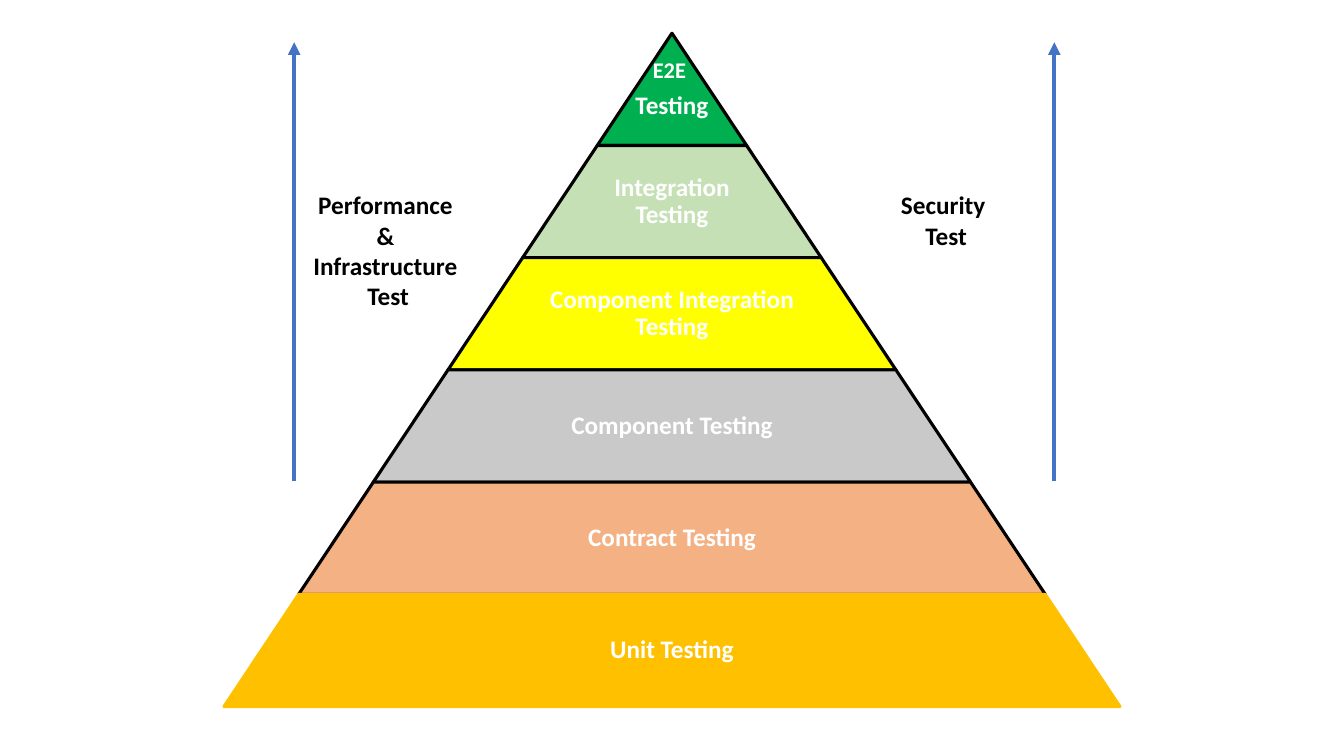
from lxml import etree
from pptx import Presentation, util as u
from pptx.dml.color import RGBColor
from pptx.enum import shapes, text
from pptx.oxml.ns import qn

HUES = {
    "green": "00B050", "mint": "C5E0B4", "yellow": "FFFF00",
    "grey": "C9C9C9", "peach": "F4B183", "gold": "FFC000",
    "blue": "4472C4", "black": "000000", "white": "FFFFFF",
}
WIDE, HIGH = 13.33, 7.5
COLS = 9
TIERS = [
    ("E2E \nTesting", "green"),
    ("Integration Testing", "mint"),
    ("Component Integration Testing", "yellow"),
    ("Component Testing", "grey"),
    ("Contract Testing", "peach"),
    ("Unit Testing", "gold"),
]


def hue(name):
    return RGBColor.from_string(HUES[name])


class Board:
    """Places elements by column and row; row 0 is the pyramid's tip."""
    font, size = "Calibri", 18
    col = WIDE / COLS
    top, row = 0.33, 6.68 / len(TIERS)

    def __init__(self, slide):
        self.slide = slide

    def x(self, cols):
        return u.Inches(cols * self.col)

    def y(self, rows):
        return u.Inches(self.top + rows * self.row)

    def area(self, left, top, wide, high):
        return self.x(left), self.y(top), self.x(wide), u.Inches(high * self.row)

    def tier(self, level, color, edge):
        """Draws a band that is one column wider than the band above it."""
        wide = level + 1
        band = self.slide.shapes.add_shape(
            shapes.MSO_SHAPE.TRAPEZOID, *self.area((COLS - wide) / 2, level, wide, 1))
        band.adjustments[0] = self.col / 2 / self.row
        band.shadow.inherit = False
        band.fill.solid()
        band.fill.fore_color.rgb = hue(color)
        band.line.color.rgb = hue(edge)
        band.line.width = u.Pt(2.25)

    def label(self, words, place, color):
        box = self.slide.shapes.add_textbox(*self.area(*place))
        frame = box.text_frame
        frame.word_wrap = True
        frame.text = words
        for para in frame.paragraphs:
            para.alignment = text.PP_ALIGN.CENTER
            for run in para.runs:
                run.font.name = self.font
                run.font.size = u.Pt(self.size)
                run.font.bold = True
                run.font.color.rgb = hue(color)
        return frame

    def caption(self, level, words):
        """Writes a band's name, centred in the band."""
        wide = (level + 1) * (0.65 if level else 1)
        frame = self.label(words, ((COLS - wide) / 2, level, wide, 1), "white")
        frame.vertical_anchor = text.MSO_ANCHOR.MIDDLE
        inset = u.Inches(0.03 if level else 0.02)
        frame.margin_left = frame.margin_right = inset
        frame.margin_top = frame.margin_bottom = inset
        for para in frame.paragraphs:
            para.line_spacing = 0.9
            para.space_after = u.Pt(0.35 * self.size)
        return frame

    def arrow(self, col, start, end):
        line = self.slide.shapes.add_connector(
            shapes.MSO_CONNECTOR.STRAIGHT,
            self.x(col), self.y(start), self.x(col), self.y(end))
        line.line.color.rgb = hue("blue")
        line.line.width = u.Pt(3)
        etree.SubElement(line.line._get_or_add_ln(), qn("a:tailEnd"), type="triangle")
        etree.SubElement(line._element.spPr, qn("a:effectLst"))


def main():
    deck = Presentation()
    deck.slide_width, deck.slide_height = u.Inches(WIDE), u.Inches(HIGH)
    board = Board(deck.slides.add_slide(deck.slide_layouts[6]))

    for level, (words, color) in enumerate(TIERS):
        last = level == len(TIERS) - 1
        board.tier(level, color, color if last else "black")
        frame = board.caption(level, words)
        if level == 0:
            frame.paragraphs[0].runs[0].font.size = u.Pt(16)

    for col in (7.06, 1.97):
        board.arrow(col, 3.99, 0.08)
    board.label("Security \nTest", (5.67, 1.35, 1.33, 0.64), "black")
    board.label("Performance \n& \nInfrastructure \nTest",
                (1.84, 1.35, 1.52, 1.18), "black")

    deck.save("out.pptx")


if __name__ == "__main__":
    main()
